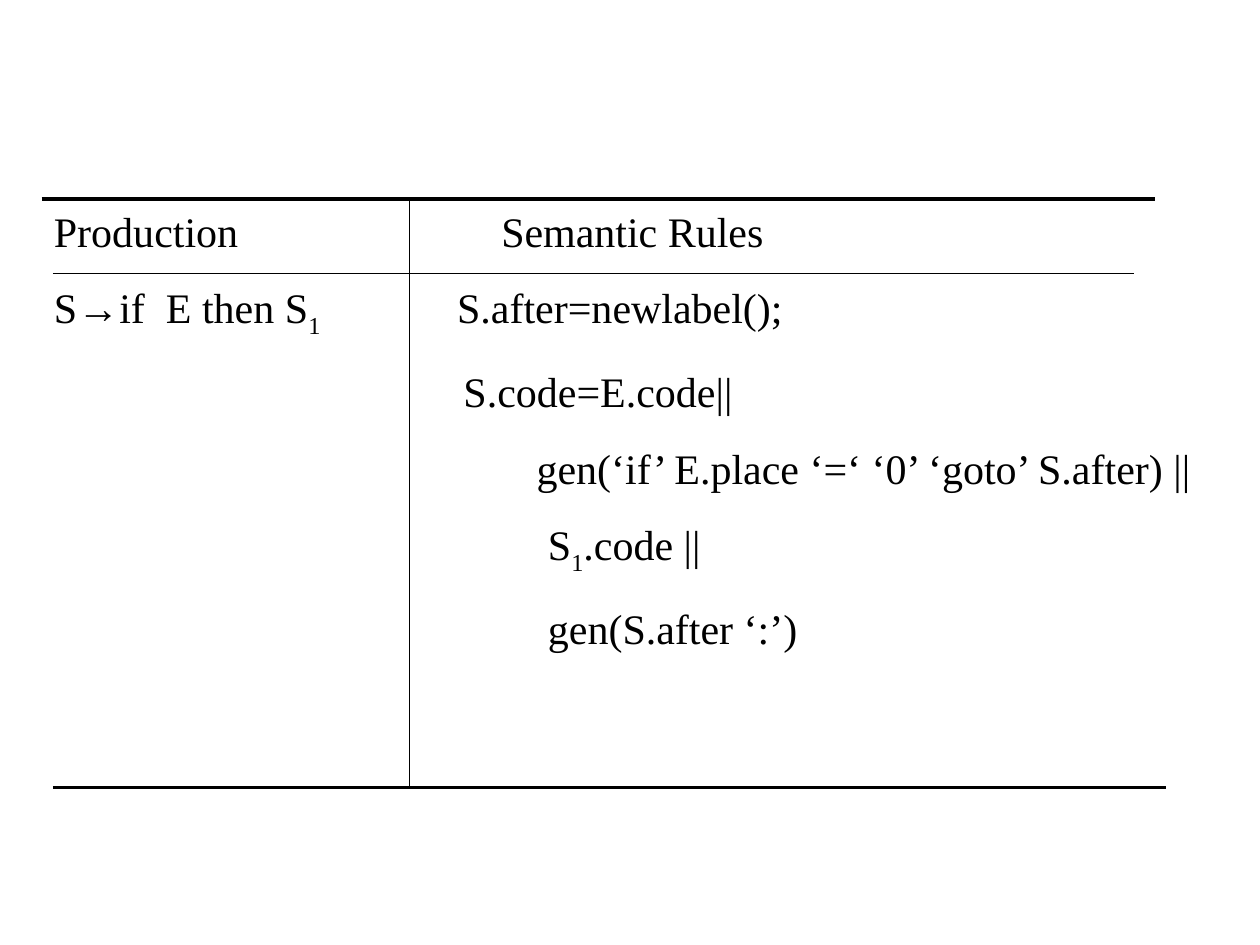
from pptx import Presentation
from pptx.dml.color import RGBColor
from pptx.enum.shapes import MSO_CONNECTOR
from pptx.enum.text import MSO_AUTO_SIZE
from pptx.oxml.ns import qn
from pptx.util import Inches, Pt
from lxml.etree import SubElement

HUES = {"ink": "000000"}
ARROW, SUB = "→", "1"


class Board:
    def __init__(self, slide):
        self.slide = slide
        self.ink = RGBColor.from_string(HUES["ink"])
        self.font = "Times New Roman"
        self.sign = "Arial"
        self.size = Pt(24)

    def line(self, x1, y1, x2, y2, width):
        rule = self.slide.shapes.add_connector(
            MSO_CONNECTOR.STRAIGHT, Inches(x1), Inches(y1), Inches(x2), Inches(y2))
        rule.line.color.rgb = self.ink
        rule.line.width = Pt(width)
        SubElement(rule._element.spPr, qn("a:effectLst"))

    def run(self, para, text):
        run = para.add_run()
        run.text = text
        run.font.size = self.size
        run.font.name = self.sign if text == ARROW else self.font
        run.font.color.rgb = self.ink
        if text == SUB:
            run._r.get_or_add_rPr().set("baseline", "-25000")

    def para(self, para, indent, gap, parts):
        para.space_before = Pt(gap)
        props = para._p.get_or_add_pPr()
        props.set("marL", str(Inches(indent)))
        props.set("indent", "0")
        for part in parts:
            self.run(para, part)

    def text(self, x, y, width, height, rows):
        box = self.slide.shapes.add_textbox(
            Inches(x), Inches(y), Inches(width), Inches(height))
        frame = box.text_frame
        frame.word_wrap = True
        frame.auto_size = MSO_AUTO_SIZE.SHAPE_TO_FIT_TEXT
        for num, row in enumerate(rows):
            para = frame.add_paragraph() if num else frame.paragraphs[0]
            self.para(para, *row)


def main():
    deck = Presentation()
    deck.slide_width, deck.slide_height = Inches(10), Inches(7.5)
    board = Board(deck.slides.add_slide(deck.slide_layouts[6]))

    top, head, base = 1.58, 2.17, 6.25
    gap, wide = 15, 19
    left = [
        (0, gap, ["Production"]),
        (0, gap, ["S", ARROW, "if  E then S", SUB]),
    ]
    right = [
        (0.35, gap, ["Semantic Rules"]),
        (0, gap, ["S.after=newlabel();"]),
        (0.05, wide, ["S.code=E.code||"]),
        (0.63, gap, ["gen(‘if’ E.place ‘=‘ ‘0’ ‘goto’ S.after) ||"]),
        (0.72, gap, ["S", SUB, ".code ||"]),
        (0.72, gap, ["gen(S.after ‘:’)"]),
    ]
    board.text(0.33, top, 2.9, 1.2, left)
    board.text(3.53, top, 6.22, 3.65, right)

    rules = [
        (0.33, top, 9.17, top, 2),
        (0.42, base, 9.25, base, 2),
        (0.42, head, 9, head, 0.75),
        (3.25, top, 3.25, base, 0.75),
    ]
    for rule in rules:
        board.line(*rule)

    deck.save("out.pptx")


if __name__ == "__main__":
    main()
